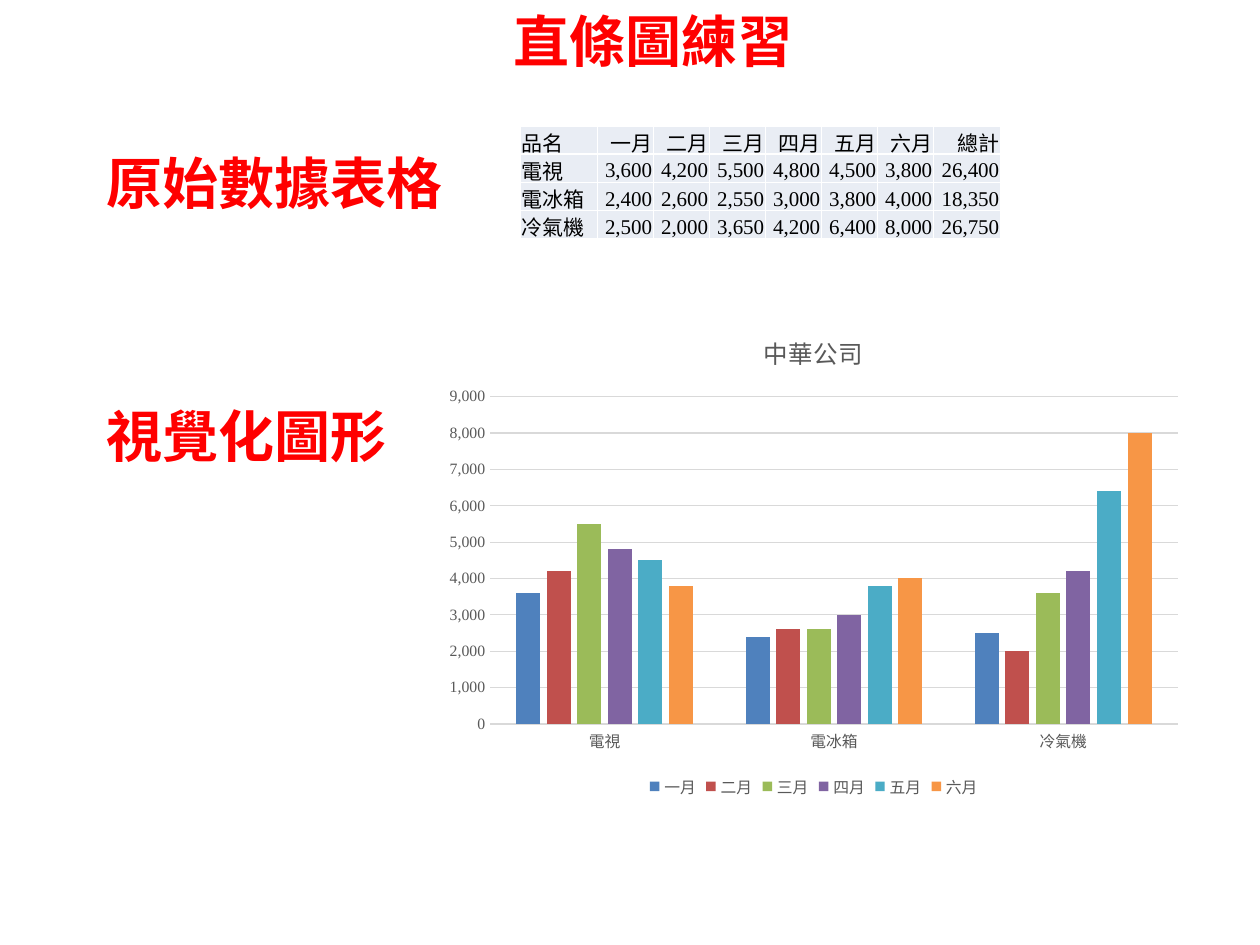
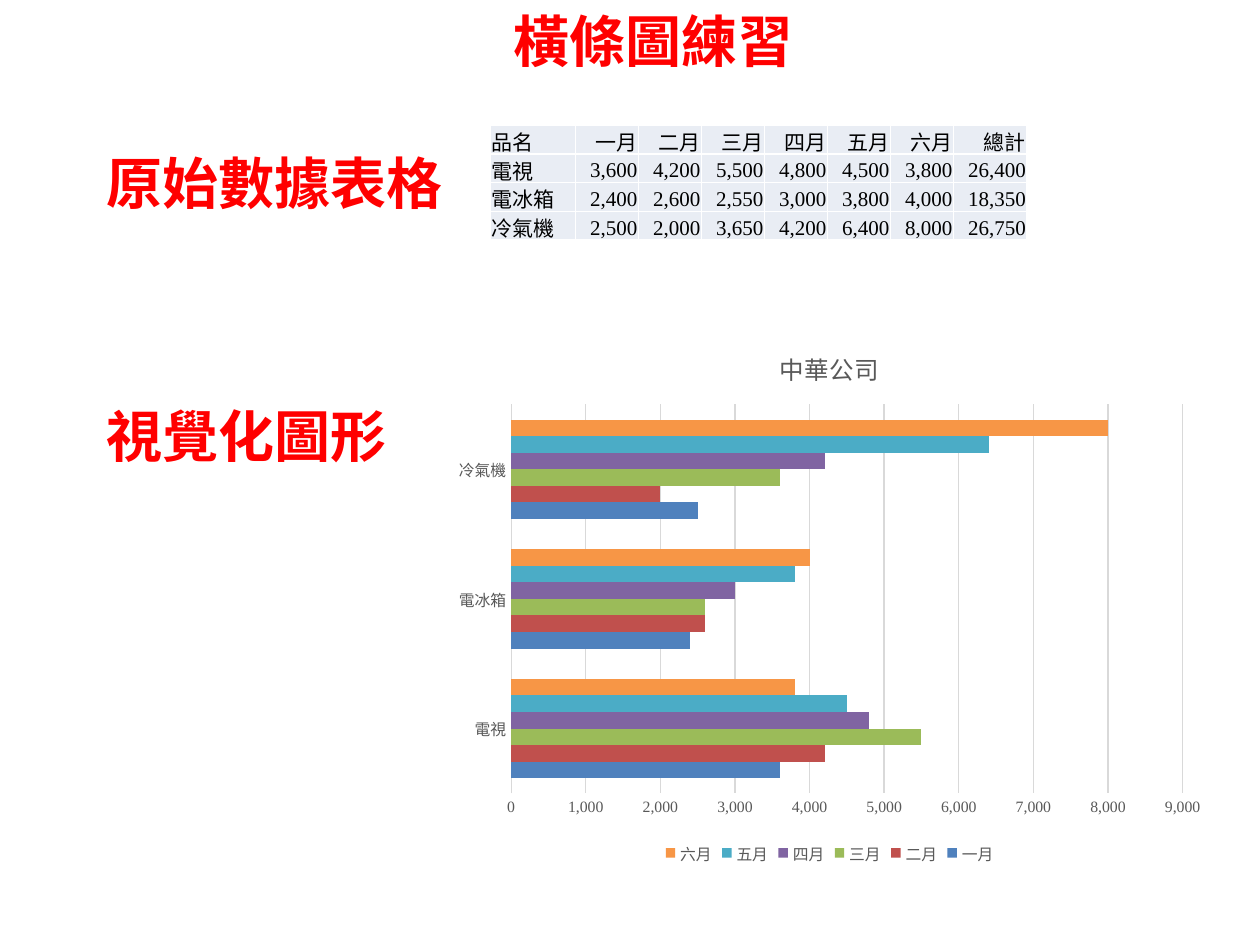
import pptx
import pptx.chart.data
import pptx.dml.color
import pptx.enum.chart
import pptx.enum.text
import pptx.util
from pptx.util import Cm

RED, BLACK, GREY, RULE, CELL = "FF0000", "000000", "595959", "D9D9D9", "E9EDF4"
MONTH_COLOURS = ["4F81BD", "C0504D", "9BBB59", "8064A2", "4BACC6", "F79646"]
MONTHS = ["一月", "二月", "三月", "四月", "五月", "六月"]
SALES = {
    "電視": [3600, 4200, 5500, 4800, 4500, 3800],
    "電冰箱": [2400, 2600, 2550, 3000, 3800, 4000],
    "冷氣機": [2500, 2000, 3650, 4200, 6400, 8000],
}
BAR_TYPES = pptx.enum.chart.XL_CHART_TYPE
NO_TICK = pptx.enum.chart.XL_TICK_MARK.NONE
ALIGN = pptx.enum.text.PP_ALIGN
ANCHOR = pptx.enum.text.MSO_ANCHOR

EXERCISES = [
    {"title": "直條圖練習", "type": BAR_TYPES.COLUMN_CLUSTERED, "gap": 219, "overlap": -27,
     "table": (10.49, 2.54), "columns": (1.55, 1.13, 1.35), "row": 0.57,
     "chart": (8.76, 6.27, 15.29, 9.91)},
    {"title": "橫條圖練習", "type": BAR_TYPES.BAR_CLUSTERED, "gap": 182, "overlap": 0,
     "table": (9.88, 2.52), "columns": (1.72, 1.27, 1.48), "row": 0.58,
     "chart": (8.94, 6.57, 15.57, 10.95)},
]


def colour(hex_string):
    return pptx.dml.color.RGBColor.from_string(hex_string)


def style_font(font, name, size, hex_string, bold=False):
    font.name = name
    font.size = pptx.util.Pt(size)
    font.bold = bold
    font.color.rgb = colour(hex_string)


deck = pptx.Presentation()
deck.slide_width, deck.slide_height = Cm(25.4), Cm(19.05)

for exercise in EXERCISES:
    slide = deck.slides.add_slide(deck.slide_layouts[5])

    table_label = slide.shapes.add_textbox(0, 0, 0, 0)
    chart_label = slide.shapes.add_textbox(0, 0, 0, 0)
    for heading, text, left, top, width in [
        (slide.shapes.title, exercise["title"], 10.09, 0, 6.3),
        (table_label, "原始數據表格", 1.9, 2.87, 7.6),
        (chart_label, "視覺化圖形", 1.9, 7.97, 7.6),
    ]:
        heading.left, heading.top = Cm(left), Cm(top)
        heading.width, heading.height = Cm(width), Cm(1.62)
        frame = heading.text_frame
        frame.text = text
        frame.word_wrap = True
        frame.auto_size = pptx.enum.text.MSO_AUTO_SIZE.SHAPE_TO_FIT_TEXT
        frame.vertical_anchor = ANCHOR.TOP
        frame.paragraphs[0].alignment = ALIGN.LEFT
        style_font(frame.paragraphs[0].runs[0].font, "Arial", 32, RED, True)

    rows = [["品名", *MONTHS, "總計"]]
    for product, amounts in SALES.items():
        rows.append([product] + [f"{amount:,}" for amount in [*amounts, sum(amounts)]])
    name_width, month_width, total_width = exercise["columns"]
    widths = [name_width] + [month_width] * len(MONTHS) + [total_width]
    left, top = exercise["table"]
    sales_table = slide.shapes.add_table(
        len(rows), len(widths), Cm(left), Cm(top),
        Cm(sum(widths)), Cm(exercise["row"] * len(rows))).table
    sales_table.first_row = sales_table.horz_banding = False
    for column, width in zip(sales_table.columns, widths):
        column.width = Cm(width)
    for r, row in enumerate(rows):
        for c, text in enumerate(row):
            cell = sales_table.cell(r, c)
            cell.fill.solid()
            cell.fill.fore_color.rgb = colour(CELL)
            cell.margin_left = cell.margin_right = cell.margin_top = Cm(0.02)
            cell.margin_bottom = 0
            cell.vertical_anchor = ANCHOR.BOTTOM
            paragraph = cell.text_frame.paragraphs[0]
            paragraph.text = text
            paragraph.alignment = ALIGN.RIGHT if c else ALIGN.LEFT
            style_font(paragraph.runs[0].font, "Times New Roman", 12, BLACK)

    sales = pptx.chart.data.CategoryChartData(number_format="#,##0")
    sales.categories = list(SALES)
    for month, amounts in zip(MONTHS, zip(*SALES.values())):
        sales.add_series(month, [round(amount, -2) for amount in amounts])
    chart = slide.shapes.add_chart(
        exercise["type"], *[Cm(length) for length in exercise["chart"]], sales).chart
    style_font(chart.font, "Times New Roman", 10, BLACK)

    chart.has_title = True
    company = chart.chart_title.text_frame
    company.text = "中華公司"
    style_font(company.paragraphs[0].runs[0].font, "Times New Roman", 14, GREY)

    chart.has_legend = True
    chart.legend.position = pptx.enum.chart.XL_LEGEND_POSITION.BOTTOM
    chart.legend.include_in_layout = False
    style_font(chart.legend.font, "Times New Roman", 9, GREY)

    bars = chart.plots[0]
    bars.vary_by_categories = False
    bars.gap_width = exercise["gap"]
    bars.overlap = exercise["overlap"]
    for series, month_colour in zip(bars.series, MONTH_COLOURS):
        series.format.fill.solid()
        series.format.fill.fore_color.rgb = colour(month_colour)

    product_axis, amount_axis = chart.category_axis, chart.value_axis
    for axis in (product_axis, amount_axis):
        axis.major_tick_mark = axis.minor_tick_mark = NO_TICK
        style_font(axis.tick_labels.font, "Times New Roman", 9, GREY)
    amount_axis.minimum_scale, amount_axis.maximum_scale = 0, 9000
    amount_axis.major_unit = 1000
    amount_axis.tick_labels.number_format = "#,##0"
    amount_axis.tick_labels.number_format_is_linked = False
    amount_axis.format.line.fill.background()
    amount_axis.has_major_gridlines = True
    for line in (product_axis.format.line, amount_axis.major_gridlines.format.line):
        line.color.rgb = colour(RULE)
        line.width = pptx.util.Pt(0.75)

deck.save("out.pptx")
